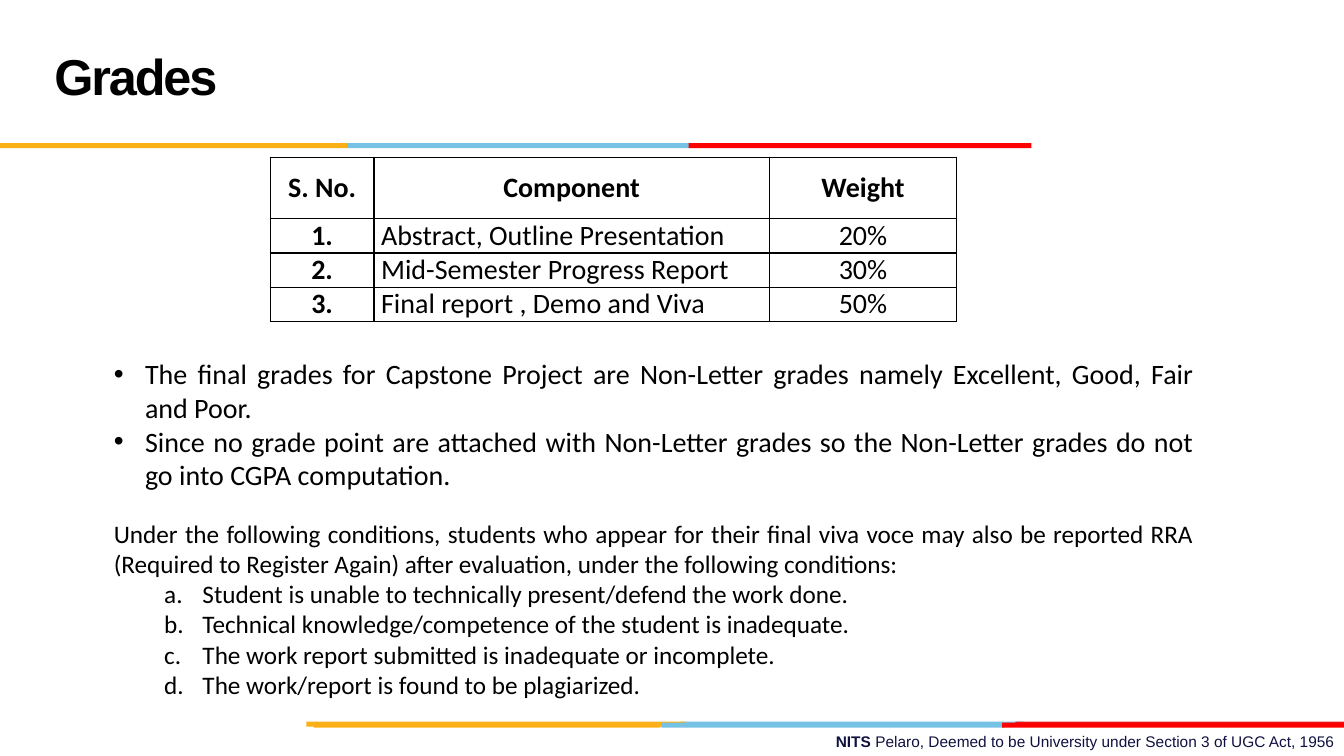
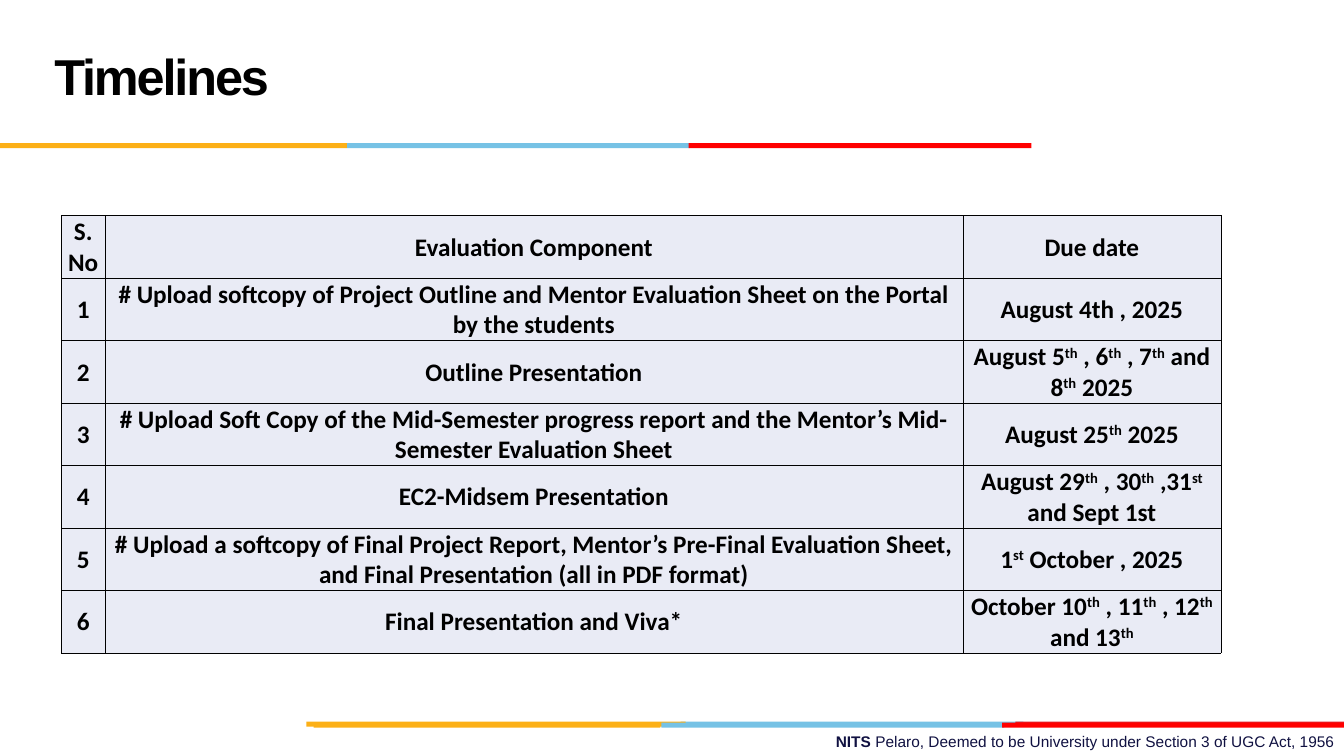
from dataclasses import dataclass

import lxml.etree
import pptx
import pptx.dml.color
import pptx.enum.shapes
import pptx.enum.text
import pptx.oxml.ns
import pptx.util

Inches = pptx.util.Inches
Pt = pptx.util.Pt
Align = pptx.enum.text.PP_ALIGN
Anchor = pptx.enum.text.MSO_ANCHOR

BLACK, NAVY, PALE = "000000", "101141", "E9EBF5"
GOLD, SKY, RED, ROSE = "FCB017", "76C2E5", "FF0000", "E31C24"
SANS, BODY = "Arial", "Calibri"


@dataclass(frozen=True)
class Bar:
    left: float
    top: float
    width: float
    fill: str


@dataclass(frozen=True)
class Grid:
    left: float
    top: float
    cols: tuple
    rows: tuple
    size: int
    line: float
    pad: tuple
    fill: str | None
    cells: tuple


@dataclass(frozen=True)
class Item:
    text: str
    mark: str = ""
    left: float = 0
    hang: float = 0


BARS = (
    Bar(6.75, 7.16, 3.4, SKY),
    Bar(10.07, 7.16, 3.26, ROSE),
    Bar(3.04, 7.16, 3.76, GOLD),
    Bar(6.56, 7.17, 3.4, SKY),
    Bar(3.11, 7.17, 3.44, GOLD),
    Bar(9.94, 7.17, 3.39, RED),
    Bar(3.44, 1.42, 3.4, SKY),
    Bar(0, 1.42, 3.44, GOLD),
    Bar(6.83, 1.42, 3.4, RED),
)

GRADES = Grid(
    2.68, 1.56, (1.03, 3.92, 1.86), (0.61, 0.34, 0.34, 0.34),
    20, 1, (0.07, 0, 0.07, 0), None,
    (
        ("S. No.", "Component", "Weight"),
        ("1.", "Abstract, Outline Presentation", "20%"),
        ("2.", "Mid-Semester Progress Report", "30%"),
        ("3.", "Final report , Demo and Viva", "50%"),
    ),
)

DATES = Grid(
    0.61, 2.14, (0.43, 8.51, 2.56), (0.62,) * 7,
    18, 0.5, (0.01, 0.01, 0.01, 0), PALE,
    (
        ("S. No", "Evaluation Component", "Due date"),
        ("1", "# Upload softcopy of Project Outline and Mentor Evaluation Sheet on the Portal by the students",
         "August 4th , 2025"),
        ("2", "Outline Presentation", "August 5^th^ , 6^th^ , 7^th^ and 8^th^ 2025"),
        ("3", "# Upload Soft Copy of the Mid-Semester progress report and the Mentor’s Mid-Semester Evaluation Sheet",
         "August 25^th^ 2025"),
        ("4", "EC2-Midsem Presentation", "August 29^th^ , 30^th^ ,31^st^ and Sept 1st"),
        ("5", "# Upload a softcopy of Final Project Report, Mentor’s Pre-Final Evaluation Sheet, "
              "and Final Presentation (all in PDF format)", "1^st^ October , 2025"),
        ("6", "Final Presentation and Viva*", "October 10^th^ , 11^th^ , 12^th^ and 13^th^"),
    ),
)

NOTES = tuple(Item(text, "•", 0.31, 0.31) for text in (
    "The final grades for Capstone Project are Non-Letter grades namely Excellent, Good, Fair and Poor.",
    "Since no grade point are attached with Non-Letter grades so the Non-Letter grades do not go into CGPA computation.",
))

RULES = (
    Item("Under the following conditions, students who appear for their final viva voce may also be reported RRA "
         "(Required to Register Again) after evaluation, under the following conditions:"),
) + tuple(Item(text, "a.", 0.88, 0.38) for text in (
    "Student is unable to technically present/defend the work done.",
    "Technical knowledge/competence of the student is inadequate.",
    "The work report submitted is inadequate or incomplete.",
    "The work/report is found to be plagiarized.",
))


def shade(hexa: str) -> pptx.dml.color.RGBColor:
    return pptx.dml.color.RGBColor.from_string(hexa)


def add_tag(base, name: str, **attrs: str):
    return lxml.etree.SubElement(base, pptx.oxml.ns.qn(name), attrs)


def set_font(para, face: str, size: float, hexa: str, bold: bool = False) -> None:
    font = para.font
    font.name, font.size, font.bold = face, Pt(size), bold
    font.color.rgb = shade(hexa)


def add_text(slide, left: float, top: float, width: float, height: float):
    box = slide.shapes.add_textbox(Inches(left), Inches(top), Inches(width), Inches(height))
    box.text_frame.word_wrap = True
    return box.text_frame


def add_bar(slide, bar: Bar) -> None:
    shape = slide.shapes.add_shape(
        pptx.enum.shapes.MSO_SHAPE.RECTANGLE,
        Inches(bar.left), Inches(bar.top), Inches(bar.width), Inches(0.05))
    shape.shadow.inherit = False
    shape.fill.solid()
    shape.fill.fore_color.rgb = shade(bar.fill)
    shape.line.fill.background()


def add_page(deck, title: str):
    slide = deck.slides.add_slide(deck.slide_layouts[6])
    foot = add_text(slide, 4.78, 7.21, 8.56, 0.29).paragraphs[0]
    foot.alignment = Align.RIGHT
    set_font(foot, SANS, 11, NAVY)
    for text, bold in (("NITS ", True), ("Pelaro, Deemed to be University under Section 3 of UGC Act, 1956", False)):
        run = foot.add_run()
        run.text, run.font.bold = text, bold
    for bar in BARS:
        add_bar(slide, bar)
    frame = add_text(slide, 0.44, 0.17, 9.22, 1.25)
    frame.vertical_anchor = Anchor.MIDDLE
    head = frame.paragraphs[0]
    head.line_spacing = Pt(36)
    set_font(head, SANS, 36, BLACK, True)
    run = head.add_run()
    run.text = title
    run._r.get_or_add_rPr().set("spc", "-150")
    return slide


def add_list(slide, top: float, height: float, size: int, items: tuple) -> None:
    frame = add_text(slide, 1.03, top, 10.91, height)
    for i, item in enumerate(items):
        para = frame.add_paragraph() if i else frame.paragraphs[0]
        para.text = item.text
        para.alignment = Align.JUSTIFY
        props = para._p.get_or_add_pPr()
        if item.mark:
            props.set("marL", str(Inches(item.left)))
            props.set("indent", str(-Inches(item.hang)))
        if item.mark == "•":
            add_tag(props, "a:buFont", typeface=SANS)
            add_tag(props, "a:buChar", char=item.mark)
        elif item.mark:
            add_tag(props, "a:buAutoNum", type="alphaLcPeriod")
        set_font(para, BODY, size, BLACK)


def add_edge(cell, width: float) -> None:
    props = cell._tc.get_or_add_tcPr()
    for i, side in enumerate(("L", "R", "T", "B")):
        line = lxml.etree.Element(pptx.oxml.ns.qn(f"a:ln{side}"), w=str(Pt(width)))
        add_tag(add_tag(line, "a:solidFill"), "a:srgbClr", val=BLACK)
        props.insert(i, line)


def fill_cell(cell, grid: Grid, text: str, bold: bool, left: bool, mid: bool) -> None:
    cell.margin_left, cell.margin_top, cell.margin_right, cell.margin_bottom = map(Inches, grid.pad)
    cell.vertical_anchor = Anchor.MIDDLE if mid else Anchor.TOP
    if grid.fill:
        cell.fill.solid()
        cell.fill.fore_color.rgb = shade(grid.fill)
    else:
        cell.fill.background()
    add_edge(cell, grid.line)
    para = cell.text_frame.paragraphs[0]
    para.alignment = Align.LEFT if left else Align.CENTER
    set_font(para, BODY, grid.size, BLACK, bold)
    for i, part in enumerate(text.split("^")):
        if part:
            run = para.add_run()
            run.text = part
            if i % 2:
                run._r.get_or_add_rPr().set("baseline", "30000")


def add_grid(slide, grid: Grid) -> None:
    table = slide.shapes.add_table(
        len(grid.rows), len(grid.cols), Inches(grid.left), Inches(grid.top),
        Inches(sum(grid.cols)), Inches(sum(grid.rows))).table
    table.first_row = table.horz_banding = False
    for col, width in zip(table.columns, grid.cols):
        col.width = Inches(width)
    for row, height in zip(table.rows, grid.rows):
        row.height = Inches(height)
    tint = grid.fill is not None
    for r, texts in enumerate(grid.cells):
        for c, text in enumerate(texts):
            strong = tint or r == 0
            fill_cell(table.cell(r, c), grid, text, strong or c == 0, not strong and c == 1, strong)


def main() -> None:
    deck = pptx.Presentation()
    deck.slide_width, deck.slide_height = Inches(13.33), Inches(7.5)
    slide = add_page(deck, "Grades")
    add_list(slide, 3.49, 1.45, 20, NOTES)
    add_list(slide, 5.09, 1.92, 18, RULES)
    add_grid(slide, GRADES)
    add_grid(add_page(deck, "Timelines"), DATES)
    deck.save("out.pptx")


if __name__ == "__main__":
    main()
